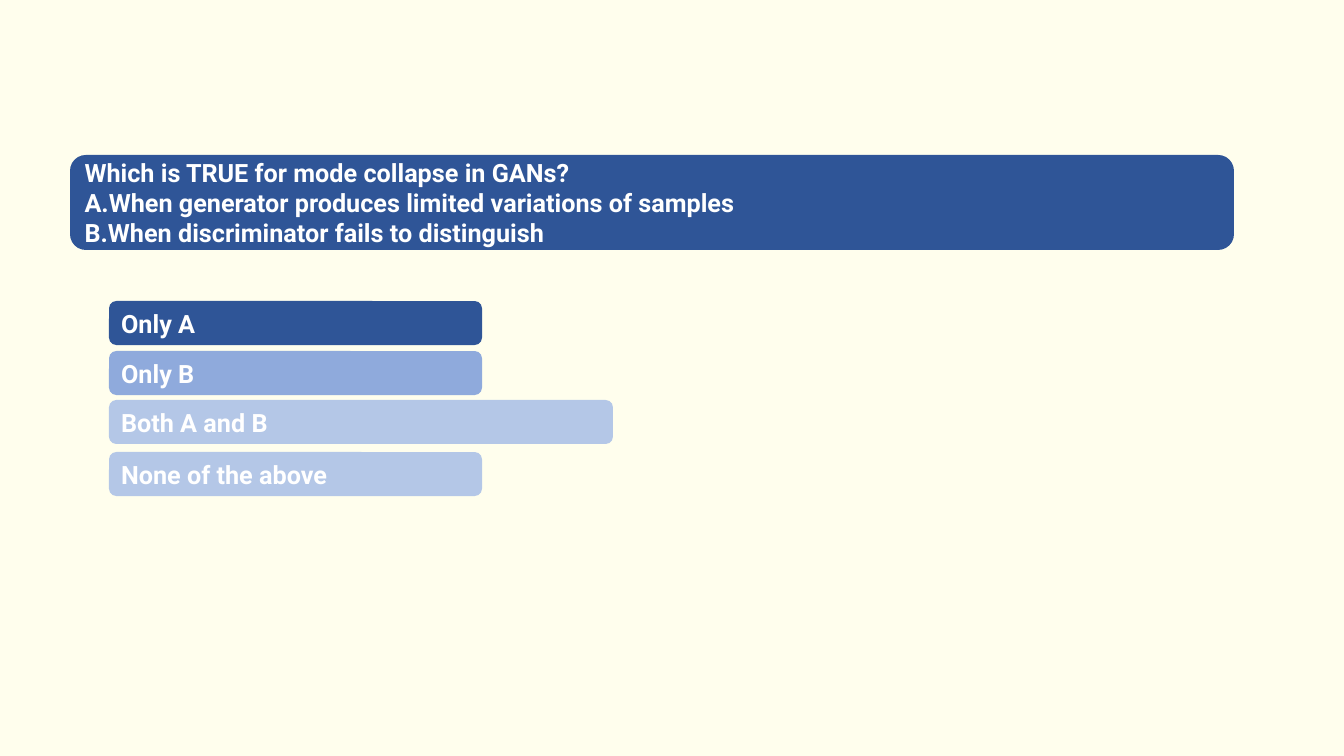
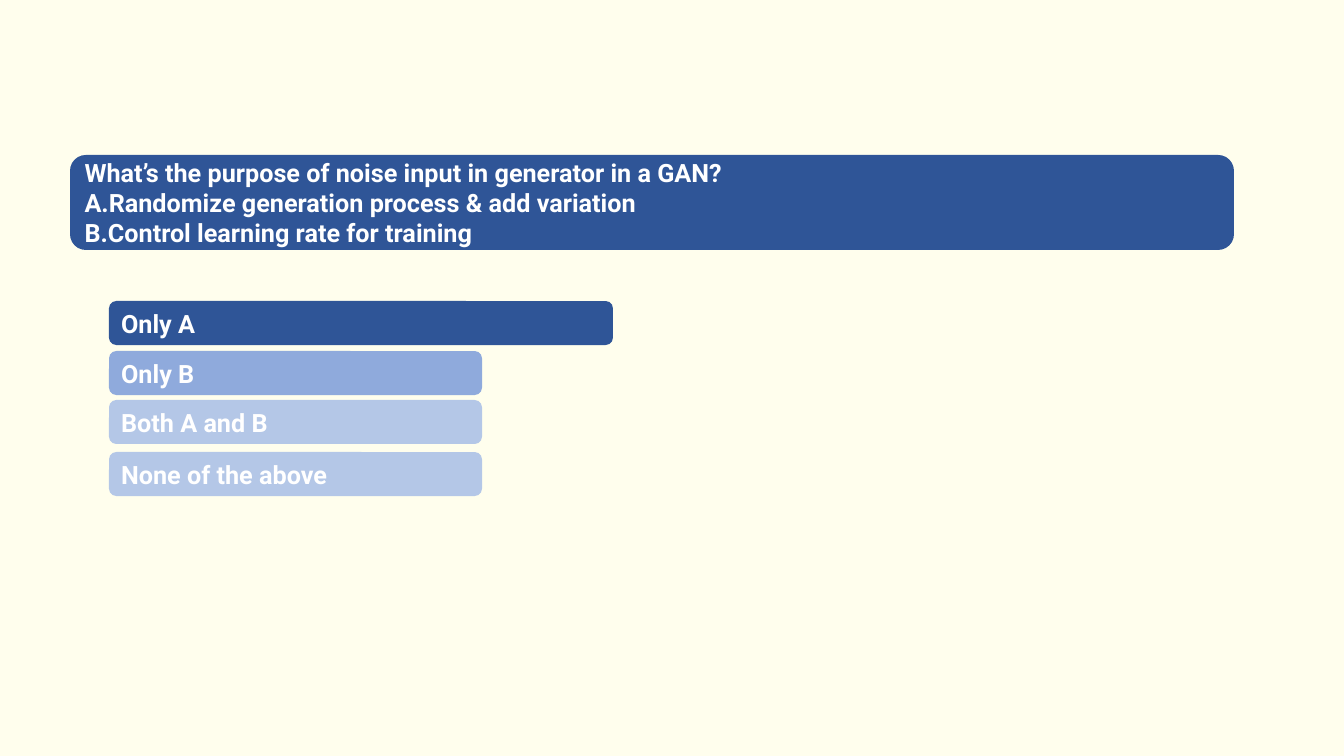
from pptx import Presentation
from pptx.dml.color import RGBColor
from pptx.enum import shapes, text
from pptx.util import Pt

SCALE = 914400 / 100.8  # EMU per pixel
CREAM = RGBColor(0xFF, 0xFE, 0xED)
WHITE = RGBColor(0xFF, 0xFF, 0xFF)
NAVY = RGBColor(0x2F, 0x55, 0x97)
BLUE = RGBColor(0x8F, 0xAA, 0xDC)
PALE = RGBColor(0xB4, 0xC7, 0xE7)

# Answer bars shared by every quiz slide: label, top, fill
ANSWERS = [
    ("Only A", 301, NAVY),
    ("Only B", 351, BLUE),
    ("Both A and B", 400, PALE),
    ("None of the above", 452, PALE),
]
BAR_WIDTH, LONG_BAR_WIDTH = 373, 504

# Question lines and the answer that has the long bar
QUIZ = [
    (["Which is TRUE for mode collapse in GANs?",
      "A.When generator produces limited variations of samples",
      "B.When discriminator fails to distinguish"], "Both A and B"),
    (["What’s the purpose of noise input in generator in a GAN?",
      "A.Randomize generation process & add variation",
      "B.Control learning rate for training"], "Only A"),
]


def px(n):
    return round(n * SCALE)


def write(tf, content, font="Roboto", size=18, color=WHITE, bold=True):
    """Fill a text frame with one paragraph; \\v makes a line break."""
    tf.word_wrap = True
    tf.vertical_anchor = text.MSO_ANCHOR.MIDDLE
    p = tf.paragraphs[0]
    p.text = content
    p.alignment = text.PP_ALIGN.LEFT
    for r in p.runs:
        r.font.name, r.font.size, r.font.bold = font, Pt(size), bold
        r.font.color.rgb = color


class Deck:
    def __init__(self):
        self.prs = Presentation()
        self.prs.slide_width, self.prs.slide_height = px(1344), px(756)

    def slide(self):
        self.s = self.prs.slides.add_slide(self.prs.slide_layouts[6])
        fill = self.s.background.fill
        fill.solid()
        fill.fore_color.rgb = CREAM

    def box(self, x, y, w, h, color, content):
        sp = self.s.shapes.add_shape(
            shapes.MSO_SHAPE.ROUNDED_RECTANGLE, px(x), px(y), px(w), px(h))
        sp.shadow.inherit = False
        sp.fill.solid()
        sp.fill.fore_color.rgb = color
        sp.line.fill.background()
        write(sp.text_frame, content)

    def question(self, lines):
        self.box(70, 155, 1164, 95, NAVY, "\v".join(lines))

    def answers(self, longest):
        for label, top, color in ANSWERS:
            width = LONG_BAR_WIDTH if label == longest else BAR_WIDTH
            self.box(109, top, width, 44, color, label)


deck = Deck()
for lines, longest in QUIZ:
    deck.slide()
    deck.question(lines)
    deck.answers(longest)
deck.prs.save("out.pptx")
